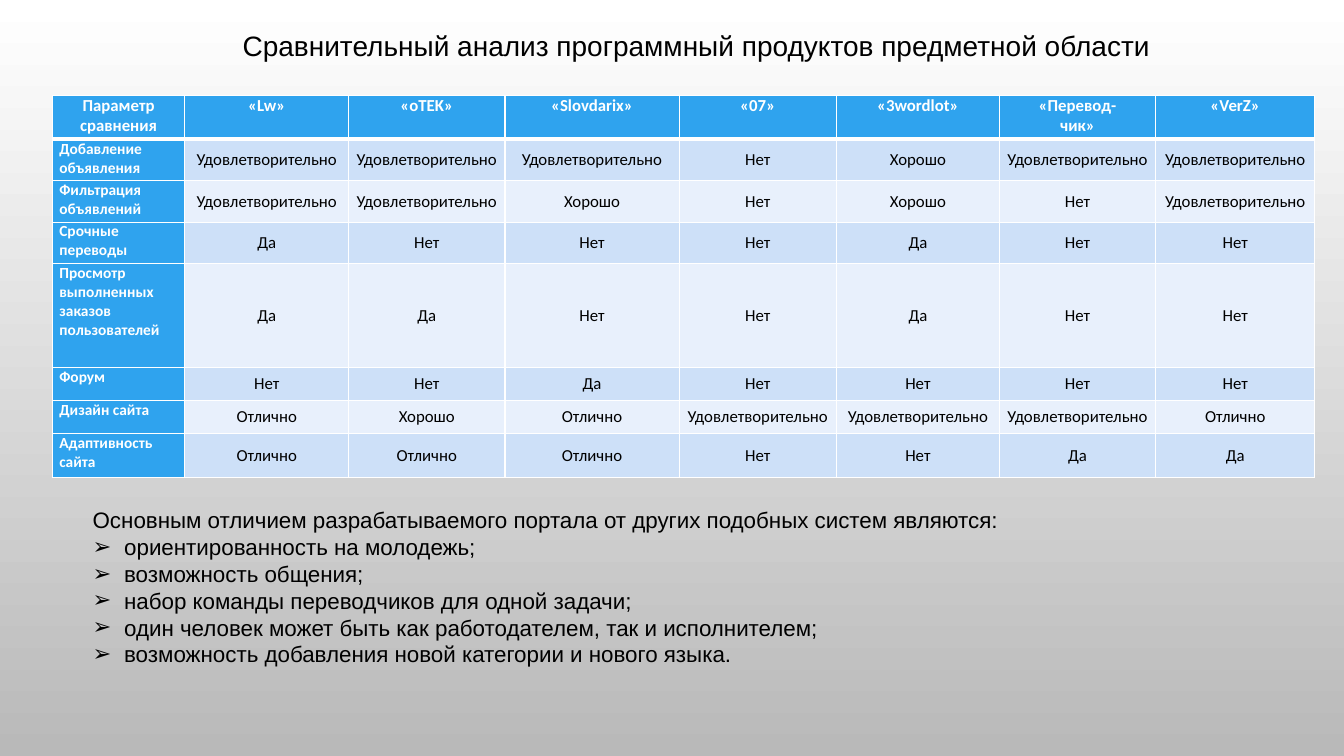
from lxml import etree
from pptx import Presentation
from pptx.dml.color import RGBColor
from pptx.enum import text
from pptx.oxml import ns
from pptx.util import Pt

TITLE = "Сравнительный анализ программный продуктов предметной области"
GOOD, FAIR, BEST, YES, NO = "Хорошо", "Удовлетворительно", "Отлично", "Да", "Нет"
ROWS = [
    ("Параметр сравнения", "«Lw»", "«oTEK»", "«Slovdarix»", "«07»", "«3wordlot»", "«Перевод-\nчик»", "«VerZ»"),
    ("Добавление объявления", FAIR, FAIR, FAIR, NO, GOOD, FAIR, FAIR),
    ("Фильтрация объявлений", FAIR, FAIR, GOOD, NO, GOOD, NO, FAIR),
    ("Срочные переводы", YES, NO, NO, NO, YES, NO, NO),
    ("Просмотр выполненных заказов пользователей", YES, YES, NO, NO, YES, NO, NO),
    ("Форум", NO, NO, YES, NO, NO, NO, NO),
    ("Дизайн сайта", BEST, GOOD, BEST, FAIR, FAIR, FAIR, BEST),
    ("Адаптивность сайта", BEST, BEST, BEST, NO, NO, YES, YES),
]
COLUMN_WIDTHS = [94.7, 117, 111.6, 124.5, 112.3, 116.5, 111.6, 113.7]
ROW_HEIGHTS = [31.5, 29.6, 29.6, 29.6, 74.2, 23.7, 23.7, 31.2]
INTRO = "Основным отличием разрабатываемого портала от других подобных систем являются:"
ADVANTAGES = [
    "ориентированность на молодежь;",
    "возможность общения;",
    "набор команды переводчиков для одной задачи;",
    "один человек может быть как работодателем, так и исполнителем;",
    "возможность добавления новой категории и нового языка.",
]
BLACK, WHITE, BLUE = "000000", "FFFFFF", "2FA3EE"
BANDS = ["E8F0FC", "CDE0F8"]
ALIGN, ANCHOR = text.PP_ALIGN, text.MSO_ANCHOR


def color(value):
    return RGBColor.from_string(value)


def write(frame, content, font="Arial", size=16, fill=BLACK, bold=False, align=ALIGN.LEFT, spacing=1.0):
    frame.text = content
    for paragraph in frame.paragraphs:
        paragraph.alignment = align
        paragraph.line_spacing = spacing
        paragraph.space_before = paragraph.space_after = Pt(0)
        for run in paragraph.runs:
            run.font.name, run.font.size, run.font.bold = font, Pt(size), bold
            run.font.color.rgb = color(fill)


def place(shape, left, top, width, height):
    shape.left, shape.top, shape.width, shape.height = map(Pt, (left, top, width, height))


def set_bullet(paragraph, character=None, indent=0):
    properties = paragraph._p.get_or_add_pPr()
    properties.set("marL", str(Pt(indent)))
    properties.set("indent", str(-Pt(indent)))
    if character:
        etree.SubElement(properties, ns.qn("a:buChar"), char=character)
    else:
        etree.SubElement(properties, ns.qn("a:buNone"))


def set_border(cell, side, width):
    line = etree.SubElement(cell._tc.get_or_add_tcPr(), ns.qn("a:ln" + side), w=str(Pt(width)))
    solid = etree.SubElement(line, ns.qn("a:solidFill"))
    etree.SubElement(solid, ns.qn("a:srgbClr"), val=WHITE)


def format_cell(cell, content, row, column):
    header, label = row == 0, column == 0
    cell.margin_left = cell.margin_right = Pt(5)
    cell.margin_top = cell.margin_bottom = Pt(0)
    cell.vertical_anchor = ANCHOR.TOP if header or label else ANCHOR.MIDDLE
    widths = {"L": 1, "R": 1, "T": 3 if row == 1 else 1, "B": 3 if header else 1}
    for side, width in widths.items():
        set_border(cell, side, width)
    cell.fill.solid()
    cell.fill.fore_color.rgb = color(BLUE if header or label else BANDS[row % 2])
    write(
        cell.text_frame, content, font="Calibri",
        size=11 if label and not header else 12,
        fill=WHITE if header or label else BLACK,
        bold=header or label,
        align=ALIGN.LEFT if label and not header else ALIGN.CENTER,
    )


def add_comparison(slide):
    frame = slide.shapes.add_table(
        len(ROWS), len(COLUMN_WIDTHS), Pt(37.4), Pt(68),
        Pt(sum(COLUMN_WIDTHS)), Pt(sum(ROW_HEIGHTS)),
    )
    table = frame.table
    for column, width in zip(table.columns, COLUMN_WIDTHS):
        column.width = Pt(width)
    for row, height in zip(table.rows, ROW_HEIGHTS):
        row.height = Pt(height)
    for row, values in enumerate(ROWS):
        for column, value in enumerate(values):
            format_cell(table.cell(row, column), value, row, column)


def main():
    presentation = Presentation()
    presentation.slide_width, presentation.slide_height = Pt(960), Pt(540)
    slide = presentation.slides.add_slide(presentation.slide_layouts[1])

    background = slide.background.fill
    background.gradient()
    background.gradient_angle = 270
    for stop, position, value in zip(background.gradient_stops, (0, 1), (WHITE, "B9B9B9")):
        stop.position = position
        stop.color.rgb = color(value)

    title, body = slide.placeholders
    place(title, 137.5, 16.5, 720, 35)
    title.text_frame.vertical_anchor = ANCHOR.MIDDLE
    title.text_frame.auto_size = text.MSO_AUTO_SIZE.NONE
    write(title.text_frame, TITLE, size=20, align=ALIGN.CENTER, spacing=0.9)

    add_comparison(slide)

    place(body, 59, 358, 750, 124)
    body.text_frame.auto_size = text.MSO_AUTO_SIZE.SHAPE_TO_FIT_TEXT
    write(body.text_frame, "\n".join([INTRO, *ADVANTAGES]), align=ALIGN.JUSTIFY)
    introduction, *advantages = body.text_frame.paragraphs
    set_bullet(introduction)
    for paragraph in advantages:
        set_bullet(paragraph, "➢", 22.5)

    presentation.save("out.pptx")


if __name__ == "__main__":
    main()
